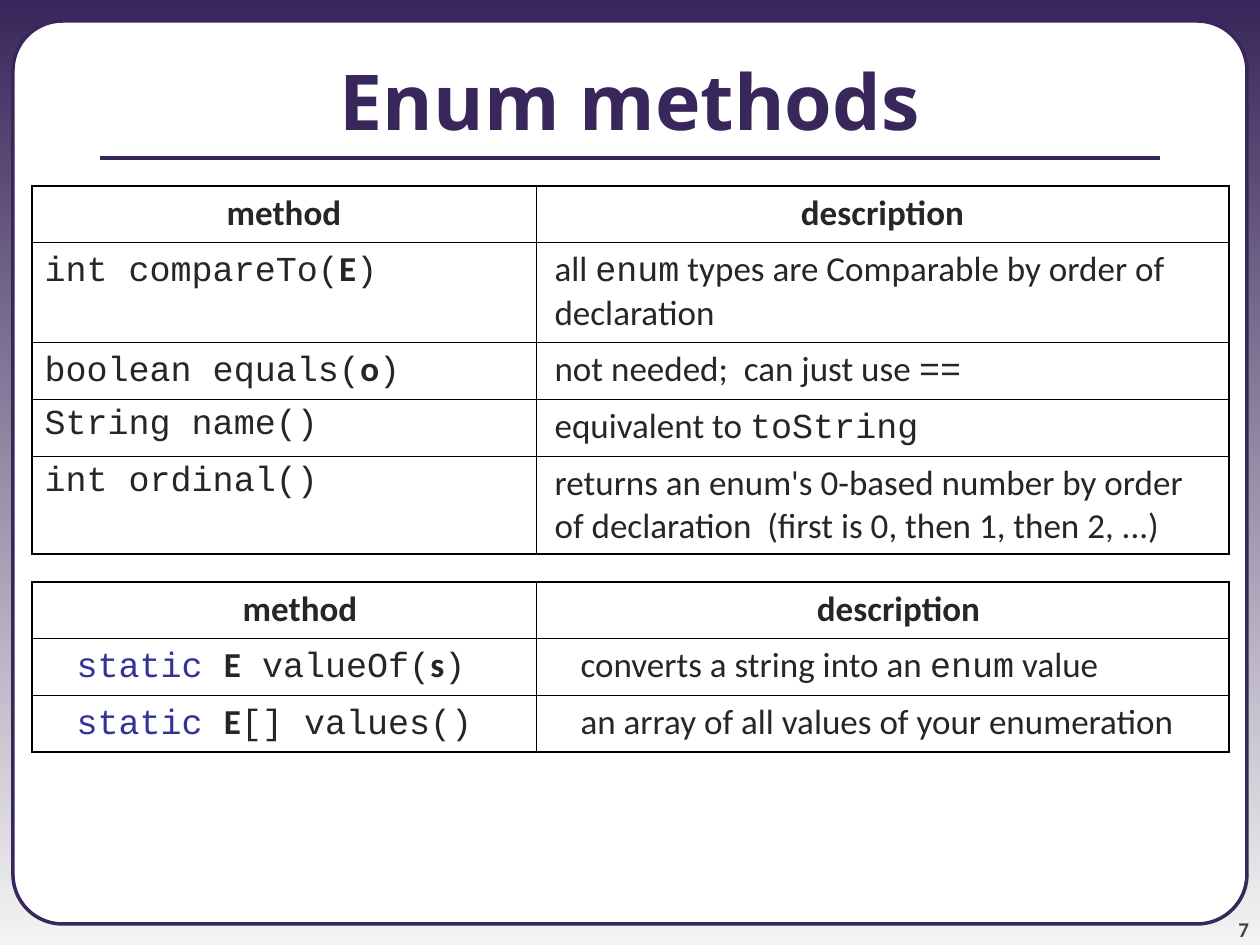
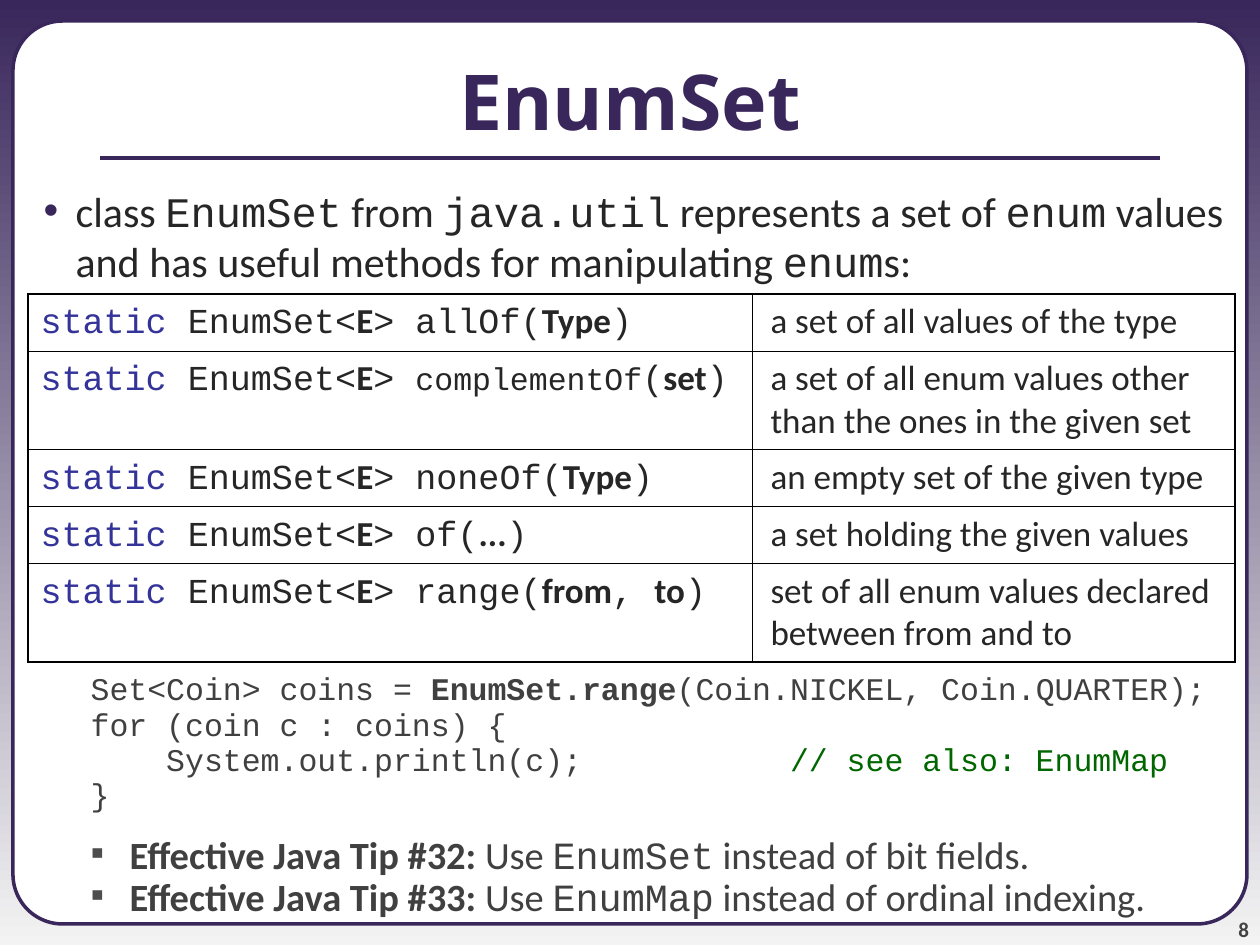
from lxml.etree import SubElement
from pptx import Presentation
from pptx.dml.color import RGBColor
from pptx.enum.shapes import MSO_CONNECTOR, MSO_SHAPE
from pptx.enum.text import MSO_ANCHOR, MSO_AUTO_SIZE, PP_ALIGN
from pptx.oxml.ns import qn
from pptx.util import Emu, Pt

# Shared look
PURPLE, PALE, INK, GREY = "39275B", "F3F3F3", "262626", "404040"
BODY, MONO, HEAD = "Calibri", "Courier New", "Noto Sans"

# Marks that switch the format of the text between a pair of them
MARKS = {
    "`": dict(face=MONO),
    "*": dict(bold=True),
    "~": dict(face=MONO, hue="333399"),
    "^": dict(face=MONO, size=18),
    "@": dict(face=MONO, bold=True),
    "%": dict(face=MONO, hue="006600"),
}

# Content: each table has its place, column widths, row heights, left
# indents for the cells and the header indent (None: no header row)
METHODS = dict(
    left=32, top=186, cols=[504, 693], tall=[56, 100, 57, 57, 98],
    dents=[0, 6], head=0,
    rows=[
        ("*method*", "*description*"),
        ("`int compareTo(`*E*`)`",
         "all `enum` types are Comparable by order of declaration"),
        ("`boolean equals(`*o*`)`", "not needed;  can just use `==`"),
        ("`String name()`", "equivalent to `toString`"),
        ("`int ordinal()`",
         "returns an enum's 0-based number by order of declaration"
         "  (first is 0, then 1, then 2, ...)"),
    ])
STATICS = dict(
    left=32, top=582, cols=[504, 693], tall=[56, 57, 57],
    dents=[32, 32], head=32,
    rows=[
        ("*method*", "*description*"),
        ("~static ~*E*` valueOf(`*s*`)`",
         "converts a string into an `enum` value"),
        ("~static ~*E*`[] values()`",
         "an array of all values of your enumeration"),
    ])
SET_TYPE = "~static ~`EnumSet<`*E*`> `"
SETS = dict(
    left=28, top=294, cols=[724, 483], tall=[57, 98, 57, 57, 98],
    dents=[0, 6], head=None,
    rows=[
        (SET_TYPE + "`allOf(`*Type*`)`", "a set of all values of the type"),
        (SET_TYPE + "^complementOf^`(`*set*`)`",
         "a set of all enum values other than the ones in the given set"),
        (SET_TYPE + "`noneOf(`*Type*`)`", "an empty set of the given type"),
        (SET_TYPE + "`of(`*...*`)`", "a set holding the given values"),
        (SET_TYPE + "`range(`*from*`, `*to*`)`",
         "set of all enum values declared between from and to"),
    ])

INTRO = ("class `EnumSet` from `java.util` represents a set of `enum` values "
         "and has useful methods for manipulating `enum`s:")
CODE = [
    "Set<Coin> coins = @EnumSet.range@(Coin.NICKEL, Coin.QUARTER);",
    "for (coin c : coins) {",
    "    System.out.println(c);           %// see also: EnumMap%",
    "}",
]
TIPS = [
    "*Effective Java Tip #32:* Use `EnumSet` instead of bit fields.",
    "*Effective Java Tip #33:* Use `EnumMap` instead of ordinal indexing.",
]
PAGES = [
    dict(num=7, title="Enum methods", tables=[METHODS, STATICS]),
    dict(num=8, title="EnumSet", tables=[SETS], list=True),
]


def px(n):
    return Emu(round(n * 914400 / 126))


def tint(code):
    return RGBColor.from_string(code)


def split(text):
    """Yield (piece, format) for each stretch between marks."""
    mark, piece = None, ""
    for char in text:
        if char in MARKS and mark in (None, char):
            if piece:
                yield piece, MARKS.get(mark, {})
            mark, piece = (None if mark else char), ""
        else:
            piece += char
    if piece:
        yield piece, MARKS.get(mark, {})


def write(para, text, size=20, face=BODY, hue=INK, bold=False, align=None,
          left=0, hang=0, level=0, before=0, line=None, dot=None):
    """Fill one paragraph with marked text; dot is (bullet, colour)."""
    para.level = level
    props = para._p.get_or_add_pPr()
    props.set("marL", str(px(left)))
    props.set("indent", str(px(hang)))
    if dot:
        paint = SubElement(props, qn("a:buClr"))
        SubElement(paint, qn("a:srgbClr"), val=dot[1])
        SubElement(props, qn("a:buChar"), char=dot[0])
    else:
        SubElement(props, qn("a:buNone"))
    para.space_before = Pt(before)
    if align is not None:
        para.alignment = align
    if line:
        para.line_spacing = line
    base = dict(size=size, face=face, hue=hue, bold=bold)
    for piece, extra in split(text):
        look = {**base, **extra}
        run = para.add_run()
        run.text = piece
        run.font.size = Pt(look["size"])
        run.font.name = look["face"]
        run.font.bold = look["bold"]
        run.font.color.rgb = tint(look["hue"])


def place(shape, left, top, width, height):
    shape.left, shape.top = px(left), px(top)
    shape.width, shape.height = px(width), px(height)


def edge(cell, sides):
    """Draw cell borders; sides maps the side letter to points."""
    props = cell._tc.get_or_add_tcPr()
    for side in "LRTB":
        rule = SubElement(props, qn("a:ln" + side), w=str(Pt(sides[side])))
        fill = SubElement(rule, qn("a:solidFill"))
        SubElement(fill, qn("a:srgbClr"), val="000000")


def grid(slide, data):
    rows, cols, tall = data["rows"], data["cols"], data["tall"]
    table = slide.shapes.add_table(
        len(rows), len(cols), px(data["left"]), px(data["top"]),
        px(sum(cols)), px(sum(tall))).table
    table.first_row = table.horz_banding = False
    for col, width in zip(table.columns, cols):
        col.width = px(width)
    for row, height in zip(table.rows, tall):
        row.height = px(height)
    for r, texts in enumerate(rows):
        top = r == 0 and data["head"] is not None
        for c, text in enumerate(texts):
            cell = table.cell(r, c)
            ends = dict(L=c == 0, R=c == len(cols) - 1,
                        T=r == 0, B=r == len(rows) - 1)
            edge(cell, {k: 1.08 if v else 0.45 for k, v in ends.items()})
            cell.fill.background()
            write(cell.text_frame.paragraphs[0], text,
                  left=data["head"] if top else data["dents"][c],
                  align=PP_ALIGN.CENTER if top else PP_ALIGN.LEFT)


def frame(slide, num):
    """Backdrop, white card, title rule and page number."""
    fill = slide.background.fill
    fill.gradient()
    fill.gradient_angle = 270
    for stop, code in zip(fill.gradient_stops, (PURPLE, PALE)):
        stop.color.rgb = tint(code)

    card = slide.shapes.add_shape(
        MSO_SHAPE.ROUNDED_RECTANGLE, px(13), px(21), px(1234), px(903))
    card.adjustments[0] = 0.055
    card.shadow.inherit = False
    card.fill.solid()
    card.fill.fore_color.rgb = tint("FFFFFF")
    rule = slide.shapes.add_connector(
        MSO_CONNECTOR.STRAIGHT, px(100), px(158), px(1160), px(158))
    SubElement(rule._element.spPr, qn("a:effectLst"))
    for shape, width in ((card, 2), (rule, 2.25)):
        shape.line.color.rgb = tint(PURPLE)
        shape.line.width = Pt(width)

    box = slide.shapes.add_textbox(px(1144), px(892), px(105), px(50))
    text = box.text_frame
    text.word_wrap = True
    text.vertical_anchor = MSO_ANCHOR.BOTTOM
    text.margin_left = text.margin_right = 0
    text.margin_top = text.margin_bottom = 0
    write(text.paragraphs[0], str(num), size=12, hue="424242", bold=True,
          align=PP_ALIGN.RIGHT)
    # Send behind the placeholders
    for shape in (rule, box, card):
        slide.shapes._spTree.insert(2, shape._element)


def fill_list(body):
    """Opening point, then code and tips below the table."""
    place(body, 0, 179, 1260, 766)
    text = body.text_frame
    text.auto_size = MSO_AUTO_SIZE.NONE
    write(text.paragraphs[0], INTRO, size=24, left=63, hang=-32,
          dot=("•", PURPLE))
    deep = dict(level=1, left=117, hang=-39, hue=GREY)
    for i, code in enumerate(CODE):
        write(text.add_paragraph(), code, size=18, face=MONO,
              before=4.5 if i else 219, line=Pt(15.6) if i else 1.0, **deep)
    for i, tip in enumerate(TIPS):
        write(text.add_paragraph(), tip, size=22, line=0.7,
              before=5.5 if i else 17.5, dot=("▪", "4D4D4D"), **deep)


def main():
    deck = Presentation()
    deck.slide_width, deck.slide_height = px(1260), px(945)
    for page in PAGES:
        listed = page.get("list")
        slide = deck.slides.add_slide(deck.slide_layouts[1 if listed else 5])
        frame(slide, page["num"])
        title = slide.shapes.title
        place(title, 0, 21, 1260, 158)
        title.text_frame.auto_size = MSO_AUTO_SIZE.NONE
        title.text_frame.vertical_anchor = MSO_ANCHOR.MIDDLE
        write(title.text_frame.paragraphs[0], page["title"], size=44,
              face=HEAD, hue=PURPLE, bold=True, align=PP_ALIGN.CENTER)
        if listed:
            fill_list(slide.placeholders[1])
        for data in page["tables"]:
            grid(slide, data)
    deck.save("out.pptx")


if __name__ == "__main__":
    main()
